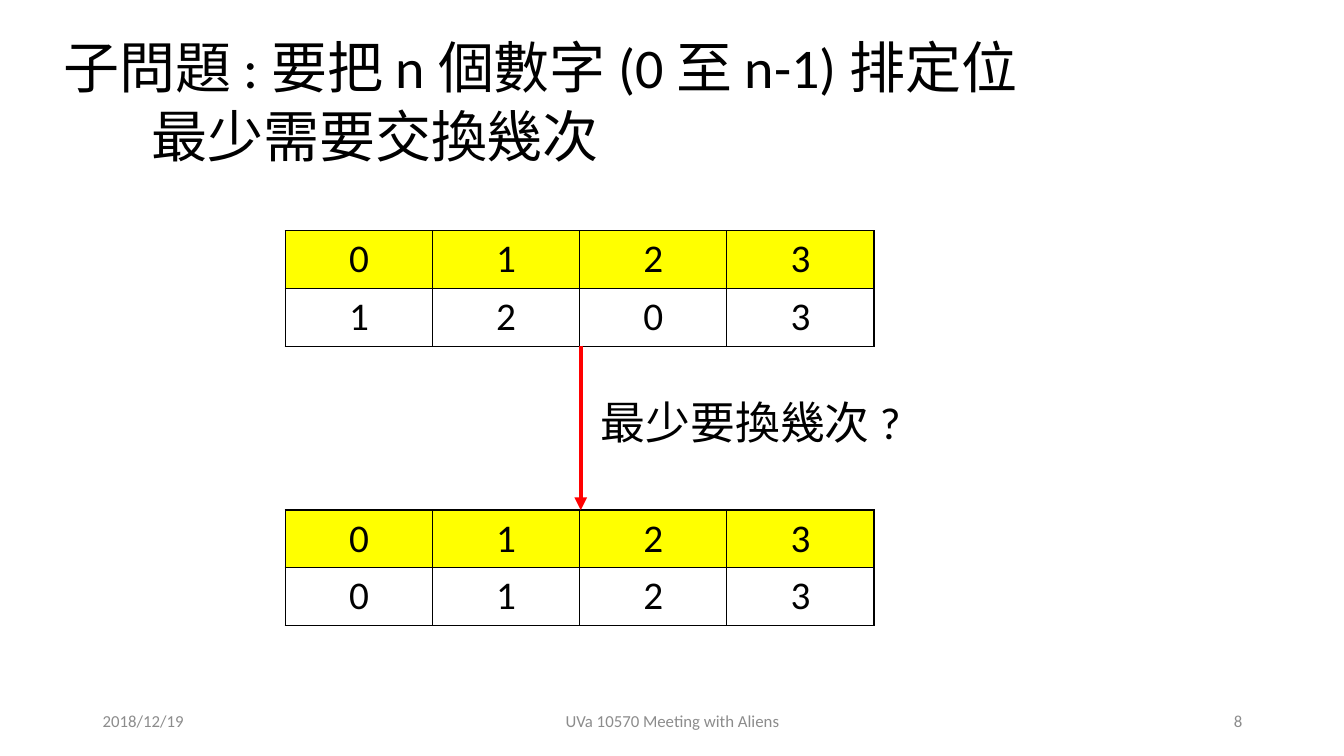
"""Build the slide on the fewest swaps that put n numbers in order."""
from dataclasses import dataclass

from lxml.etree import SubElement
from pptx import Presentation
from pptx.dml.color import RGBColor
from pptx.enum.shapes import MSO_CONNECTOR
from pptx.enum.text import MSO_ANCHOR, MSO_AUTO_SIZE, PP_ALIGN
from pptx.oxml.ns import qn
from pptx.util import Pt

PX = 9144
BLACK = RGBColor(0, 0, 0)
WHITE = RGBColor(255, 255, 255)
YELLOW = RGBColor(255, 255, 0)
RED = RGBColor(255, 0, 0)
GRAY = RGBColor(0x8C, 0x8C, 0x8C)
LATIN, CJK = "Calibri", "Noto Sans CJK SC"

GRID_X, COL_W, ROW_H = 283, 146, 57
INDEXES = ("0", "1", "2", "3")


@dataclass(frozen=True)
class Label:
    text: str
    box: tuple[int, int, int, int]
    size: int
    color: RGBColor
    align: PP_ALIGN = PP_ALIGN.LEFT
    anchor: MSO_ANCHOR = MSO_ANCHOR.MIDDLE


@dataclass(frozen=True)
class Grid:
    y: int
    numbers: tuple[str, ...]


TITLE = Label("子問題 : 要把 n 個數字 (0 至 n-1) 排定位\n最少需要交換幾次",
              (53, 26, 1240, 145), 40, BLACK, anchor=MSO_ANCHOR.TOP)
LABELS = (
    Label("2018/12/19", (92, 695, 300, 40), 12, GRAY),
    Label("UVa 10570 Meeting with Aliens", (442, 695, 450, 40), 12, GRAY, PP_ALIGN.CENTER),
    Label("8", (942, 695, 300, 40), 12, GRAY, PP_ALIGN.RIGHT),
    Label("最少要換幾次 ?", (586, 386, 330, 64), 32, BLACK, anchor=MSO_ANCHOR.TOP),
)
GRIDS = (Grid(229, ("1", "2", "0", "3")), Grid(506, INDEXES))


def set_format(obj, values: dict) -> None:
    for name, value in values.items():
        setattr(obj, name, value)


def write(tf, text: str, size: int, color: RGBColor, align: PP_ALIGN) -> None:
    tf.text = text
    for p in tf.paragraphs:
        set_format(p, {"alignment": align, "line_spacing": Pt(round(size * 1.22)),
                       "space_before": Pt(0), "space_after": Pt(0)})
        for r in p.runs:
            set_format(r.font, {"name": LATIN, "size": Pt(size), "bold": False})
            r.font.color.rgb = color
            SubElement(r.font._element, qn("a:ea"), typeface=CJK)


def fill_label(sp, label: Label) -> None:
    x, y, w, h = (n * PX for n in label.box)
    set_format(sp, {"left": x, "top": y, "width": w, "height": h})
    set_format(sp.text_frame, {"word_wrap": True, "auto_size": MSO_AUTO_SIZE.NONE,
                               "vertical_anchor": label.anchor})
    write(sp.text_frame, label.text, label.size, label.color, label.align)


def add_borders(cell) -> None:
    tc_pr = cell._tc.get_or_add_tcPr()
    for i, side in enumerate(("lnL", "lnR", "lnT", "lnB")):
        ln = tc_pr.makeelement(qn(f"a:{side}"), {"w": str(Pt(1))})
        fill = SubElement(ln, qn("a:solidFill"))
        SubElement(fill, qn("a:srgbClr"), val=str(BLACK))
        tc_pr.insert(i, ln)


def add_grid(s, grid: Grid) -> None:
    rows = ((INDEXES, YELLOW), (grid.numbers, WHITE))
    cols = len(INDEXES)
    table = s.shapes.add_table(len(rows), cols, GRID_X * PX, grid.y * PX,
                               cols * COL_W * PX, len(rows) * ROW_H * PX).table
    set_format(table, {"first_row": False, "horz_banding": False})
    for i, (numbers, color) in enumerate(rows):
        for j, number in enumerate(numbers):
            cell = table.cell(i, j)
            cell.vertical_anchor = MSO_ANCHOR.MIDDLE
            cell.fill.solid()
            cell.fill.fore_color.rgb = color
            write(cell.text_frame, number, 28, BLACK, PP_ALIGN.CENTER)
            add_borders(cell)


def add_arrow(s, x: int, top: int, bottom: int) -> None:
    line = s.shapes.add_connector(MSO_CONNECTOR.STRAIGHT, x * PX, top * PX, x * PX, bottom * PX)
    line.line.color.rgb = RED
    line.line.width = Pt(3)
    sp_pr = line._element.spPr
    SubElement(sp_pr.find(qn("a:ln")), qn("a:tailEnd"), type="triangle")
    SubElement(sp_pr, qn("a:effectLst"))


def main() -> None:
    prs = Presentation()
    set_format(prs, {"slide_width": 1333 * PX, "slide_height": 750 * PX})
    s = prs.slides.add_slide(prs.slide_layouts[5])
    title = s.shapes.title
    fill_label(title, TITLE)
    title.text_frame.paragraphs[1]._p.get_or_add_pPr().set("marL", str(87 * PX))
    for grid in GRIDS:
        add_grid(s, grid)
    start, goal = GRIDS
    add_arrow(s, GRID_X + 2 * COL_W + 1, start.y + 2 * ROW_H, goal.y)
    for label in LABELS:
        fill_label(s.shapes.add_textbox(0, 0, 0, 0), label)
    prs.save("out.pptx")


if __name__ == "__main__":
    main()
